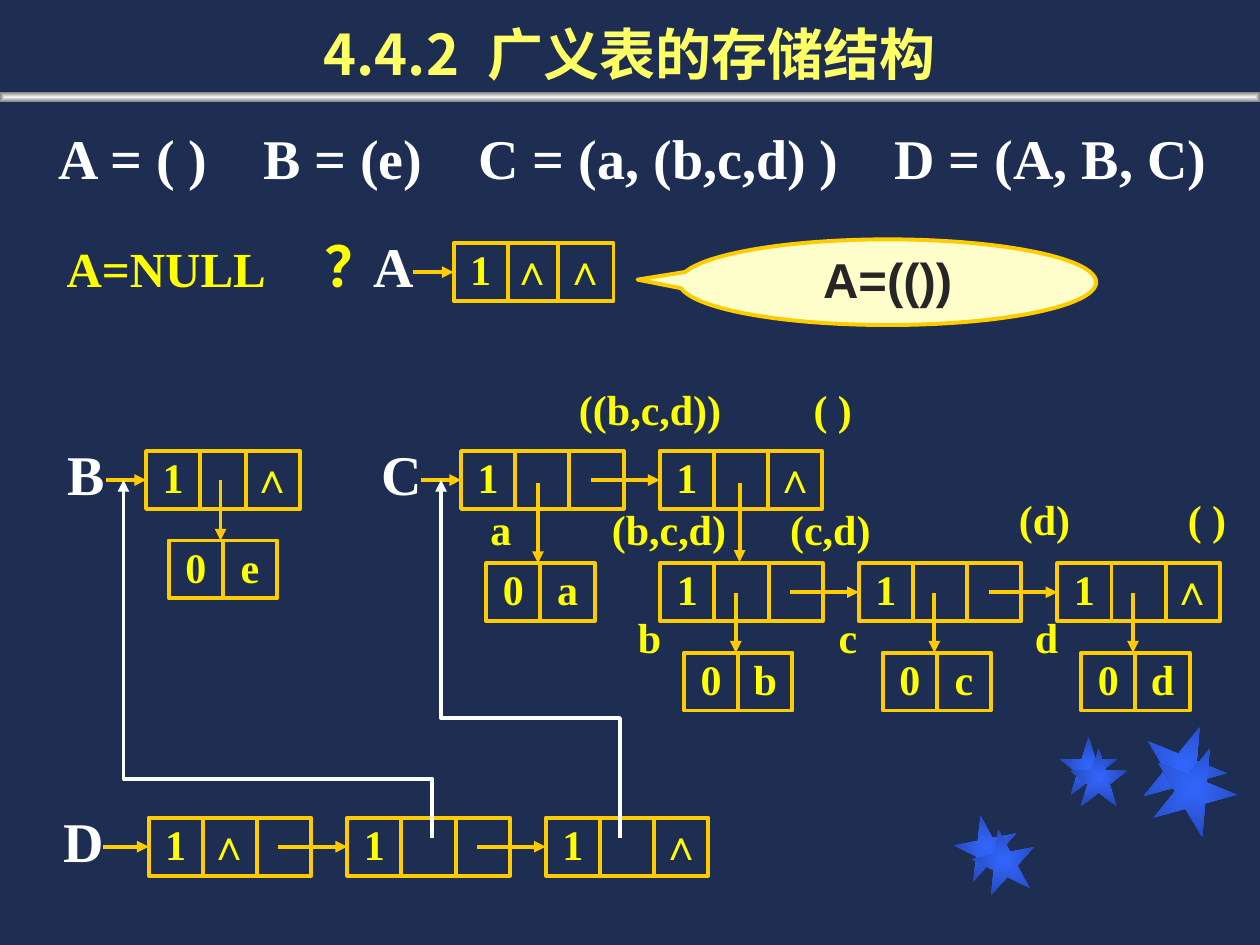
from dataclasses import dataclass
from typing import Optional

from pptx import Presentation
from pptx.dml.color import RGBColor
from pptx.enum.shapes import MSO_CONNECTOR, MSO_SHAPE
from pptx.enum.text import MSO_ANCHOR, PP_ALIGN
from pptx.oxml import parse_xml
from pptx.oxml.ns import nsdecls, qn
from pptx.util import Inches, Pt

RECT, STAR, CALLOUT = MSO_SHAPE.RECTANGLE, MSO_SHAPE.STAR_5_POINT, MSO_SHAPE.OVAL_CALLOUT
STRAIGHT = MSO_CONNECTOR.STRAIGHT
LEFT, CENTER = PP_ALIGN.LEFT, PP_ALIGN.CENTER
TOP, MIDDLE, BOTTOM = MSO_ANCHOR.TOP, MSO_ANCHOR.MIDDLE, MSO_ANCHOR.BOTTOM
LEFT_SIDE = 1
GRID_COLUMNS, GRID_ROWS = 100, 75
CELL_WIDTH, CELL_HEIGHT = 4.3, 4.6
NODE_STEP = 15.76


@dataclass(frozen=True)
class Theme:
    background: str = "1E2E53"
    title: str = "FFFF66"
    value: str = "FFFF00"
    name: str = "FFFFFF"
    border: str = "FFCC00"
    balloon: str = "FFFFCC"
    balloon_text: str = "262626"
    star: tuple = ("3366FF", "2449B6")
    bar: tuple = ("F2F2F2", "808080")
    serif: str = "Times New Roman"
    sans: str = "Arial"
    chinese: str = "Noto Sans CJK SC"
    small: int = 24
    medium: int = 28
    large: int = 32
    stroke: float = 2.25


THEME = Theme()


@dataclass(frozen=True)
class Label:
    text: str
    left: float
    top: float
    width: float
    height: float = 5
    size: int = THEME.small
    color: str = THEME.value
    align: PP_ALIGN = CENTER


@dataclass(frozen=True)
class Chain:
    left: float
    top: float
    nodes: tuple
    name: Optional[str] = None
    name_gap: float = 7.4
    widths: tuple = (CELL_WIDTH,) * 3


@dataclass(frozen=True)
class Atom:
    value: str
    left: float
    top: float
    link_top: float


@dataclass(frozen=True)
class Star:
    left: float
    top: float
    size: float
    rotation: int


prs = Presentation()
prs.slide_width, prs.slide_height = Inches(10), Inches(7.5)
slide = prs.slides.add_slide(prs.slide_layouts[6])
slide.background.fill.solid()
slide.background.fill.fore_color.rgb = RGBColor.from_string(THEME.background)


def across(columns: float) -> int:
    return round(columns * prs.slide_width / GRID_COLUMNS)


def down(rows: float) -> int:
    return round(rows * prs.slide_height / GRID_ROWS)


def box(left: float, top: float, width: float, height: float) -> tuple:
    return across(left), down(top), across(width), down(height)


def write(shape, text: str, size: int, color: str, font: str = THEME.serif,
          align: PP_ALIGN = CENTER, anchor: MSO_ANCHOR = MIDDLE,
          wrap: bool = False, spacing: float = 0.9):
    frame = shape.text_frame
    frame.word_wrap, frame.vertical_anchor = wrap, anchor
    paragraph = frame.paragraphs[0]
    paragraph.alignment, paragraph.line_spacing = align, spacing
    add_run(paragraph, text, size, color, font)
    return paragraph


def add_run(paragraph, text: str, size: int, color: str, font: str):
    run = paragraph.add_run()
    run.text = text
    for attribute, value in {"name": font, "size": Pt(size), "bold": True}.items():
        setattr(run.font, attribute, value)
    run.font.color.rgb = RGBColor.from_string(color)
    run.font._element.append(parse_xml(f'<a:ea {nsdecls("a")} typeface="{THEME.chinese}"/>'))
    return run


def stroke(line, color: str, arrow: bool = False) -> None:
    line.color.rgb, line.width = RGBColor.from_string(color), Pt(THEME.stroke)
    if arrow:
        line._get_or_add_ln().append(parse_xml(f'<a:tailEnd {nsdecls("a")} type="triangle"/>'))


def draw_label(label: Label) -> None:
    area = slide.shapes.add_textbox(*box(label.left, label.top, label.width, label.height))
    write(area, label.text, label.size, label.color, align=label.align, anchor=TOP)


def draw_arrow(x1: float, y1: float, x2: float, y2: float, target=None) -> None:
    arrow = slide.shapes.add_connector(STRAIGHT, across(x1), down(y1), across(x2), down(y2))
    if target is not None:
        arrow.end_connect(target, LEFT_SIDE)
    stroke(arrow.line, THEME.border, arrow=True)
    arrow._element.spPr.append(parse_xml(f'<a:effectLst {nsdecls("a")}/>'))


def draw_cells(left: float, top: float, values: tuple, widths: tuple) -> list:
    cells = []
    for value, width in zip(values, widths):
        cell = slide.shapes.add_shape(RECT, *box(left, top, width, CELL_HEIGHT))
        cell.shadow.inherit = False
        cell.fill.background()
        stroke(cell.line, THEME.border)
        if value:
            write(cell, value, THEME.small, THEME.value)
        cells.append(cell)
        left += width
    return cells


def draw_chain(chain: Chain) -> None:
    middle = chain.top + CELL_HEIGHT / 2
    name_left = chain.left - chain.name_gap
    for index, values in enumerate(chain.nodes):
        left = chain.left + index * NODE_STEP
        head = draw_cells(left, chain.top, values, chain.widths)[0]
        if index:
            draw_arrow(left - NODE_STEP + 10.3, middle, left, middle, head)
        elif chain.name:
            draw_label(Label(chain.name, name_left, chain.top - 0.8, 5.3, 5.9,
                             THEME.large, THEME.name))
            draw_arrow(name_left + 4.2, middle, left, middle, head)


def draw_atom(atom: Atom) -> None:
    draw_cells(atom.left, atom.top, ("0", atom.value), (CELL_WIDTH,) * 2)
    draw_arrow(atom.left + 4.1, atom.link_top, atom.left + 4.1, atom.top)


def draw_reference(source_x: float, turn_y: float, target_x: float) -> None:
    bends = [(source_x, turn_y), (target_x, turn_y), (target_x, 38.1)]
    builder = slide.shapes.build_freeform(across(source_x), down(66.5))
    builder.add_line_segments([(across(x), down(y)) for x, y in bends], close=False)
    reference = builder.convert_to_shape()
    reference.shadow.inherit = False
    reference.fill.background()
    stroke(reference.line, THEME.name, arrow=True)


def draw_glow(kind: MSO_SHAPE, area: tuple, colors: tuple, rotation: int = 0) -> None:
    glow = slide.shapes.add_shape(kind, *box(*area))
    glow.rotation, glow.shadow.inherit = rotation, False
    glow.line.fill.background()
    glow.fill.gradient()
    for stop, color, position in zip(glow.fill.gradient_stops, colors, (0, 1)):
        stop.color.rgb, stop.position = RGBColor.from_string(color), position
    gradient = glow._element.spPr.find(qn("a:gradFill"))
    gradient.replace(gradient.find(qn("a:lin")), parse_xml(
        f'<a:path {nsdecls("a")} path="shape">'
        '<a:fillToRect l="50000" t="50000" r="50000" b="50000"/></a:path>'))


STARS = (Star(75.8, 64.7, 5, 349), Star(84.1, 58.5, 4.6, 0), Star(90.6, 57.5, 6.7, 22),
         Star(77.2, 65.8, 5, 349), Star(84.9, 59.4, 4.6, 0), Star(91.4, 59.2, 6.7, 22))
CHAINS = (
    Chain(36, 19.3, (("1", "∧", "∧"),), "A", widths=(4.3, 4, 4.4)),
    Chain(11.6, 35.8, (("1", "", "∧"),), "B", widths=(4.3, 3.6, 4.3)),
    Chain(36.6, 35.8, (("1", "", ""), ("1", "", "∧")), "C"),
    Chain(52.4, 44.7, (("1", "", ""), ("1", "", ""), ("1", "", "∧"))),
    Chain(11.8, 64.9, (("1", "∧", ""), ("1", "", ""), ("1", "", "∧")), "D", 7.8),
)
ATOMS = (Atom("e", 13.4, 42.9, 38.1), Atom("a", 38.6, 44.7, 38.3),
         *(Atom(value, 54.3 + index * NODE_STEP, 51.8, 47.1)
           for index, value in enumerate("bcd")))
LABELS = (
    Label("A=NULL", 4.3, 19, 19.8, 5.3, THEME.medium, align=LEFT),
    Label("？", 24.8, 18.5, 3.9, 5.9, THEME.large),
    Label("a", 37.4, 39.9, 4.7), Label("((b,c,d))", 43.6, 30.4, 16),
    Label("(b,c,d)", 46.6, 39.9, 13), Label("(c,d)", 60.9, 39.9, 10),
    Label("(d)", 78.9, 39.1, 8), Label("( )", 62.6, 30.4, 7),
    Label("( )", 92.3, 39.1, 7),
    *(Label(value, 49.2 + index * NODE_STEP, 48.5, 4.7) for index, value in enumerate("bcd")),
)

for star in STARS:
    draw_glow(STAR, (star.left, star.top, star.size, star.size), THEME.star, star.rotation)
draw_glow(RECT, (0, 7.3, 100, 0.8), THEME.bar)

title = slide.shapes.add_textbox(*box(0, 0, 100, 7.4))
heading = write(title, "4.4.2", THEME.large, THEME.title, THEME.chinese,
                anchor=BOTTOM, wrap=True, spacing=1.0)
gap = add_run(heading, " ", THEME.large, THEME.title, THEME.chinese)
gap.font._element.set("spc", "900")
add_run(heading, "广义表的存储结构", THEME.large, THEME.title, THEME.serif)

definitions = slide.shapes.add_textbox(*box(3.7, 9.3, 95, 6.3))
tabs = "".join(f'<a:tab pos="{across(stop)}" algn="l"/>' for stop in (16.2, 33.3, 66.3))
definitions.text_frame.paragraphs[0]._p.get_or_add_pPr().append(
    parse_xml(f'<a:tabLst {nsdecls("a")}>{tabs}</a:tabLst>'))
write(definitions, "A = ( )\tB = (e)\tC = (a, (b,c,d) )\tD = (A, B, C)", THEME.large,
      THEME.name, align=LEFT, anchor=TOP, wrap=True, spacing=1.0)

for draw, parts in ((draw_chain, CHAINS), (draw_atom, ATOMS), (draw_label, LABELS)):
    for part in parts:
        draw(part)
draw_arrow(58.7, 38.3, 58.7, 44.6)
draw_reference(34.3, 61.8, 9.8)
draw_reference(49.2, 57, 35)

balloon = slide.shapes.add_shape(CALLOUT, *box(53.9, 19, 33.1, 6.8))
balloon.adjustments[0], balloon.adjustments[1] = -0.6, -0.03
balloon.shadow.inherit = False
balloon.fill.solid()
balloon.fill.fore_color.rgb = RGBColor.from_string(THEME.balloon)
stroke(balloon.line, THEME.border)
write(balloon, "A=(())", THEME.medium, THEME.balloon_text, THEME.sans, wrap=True)

prs.save("out.pptx")
